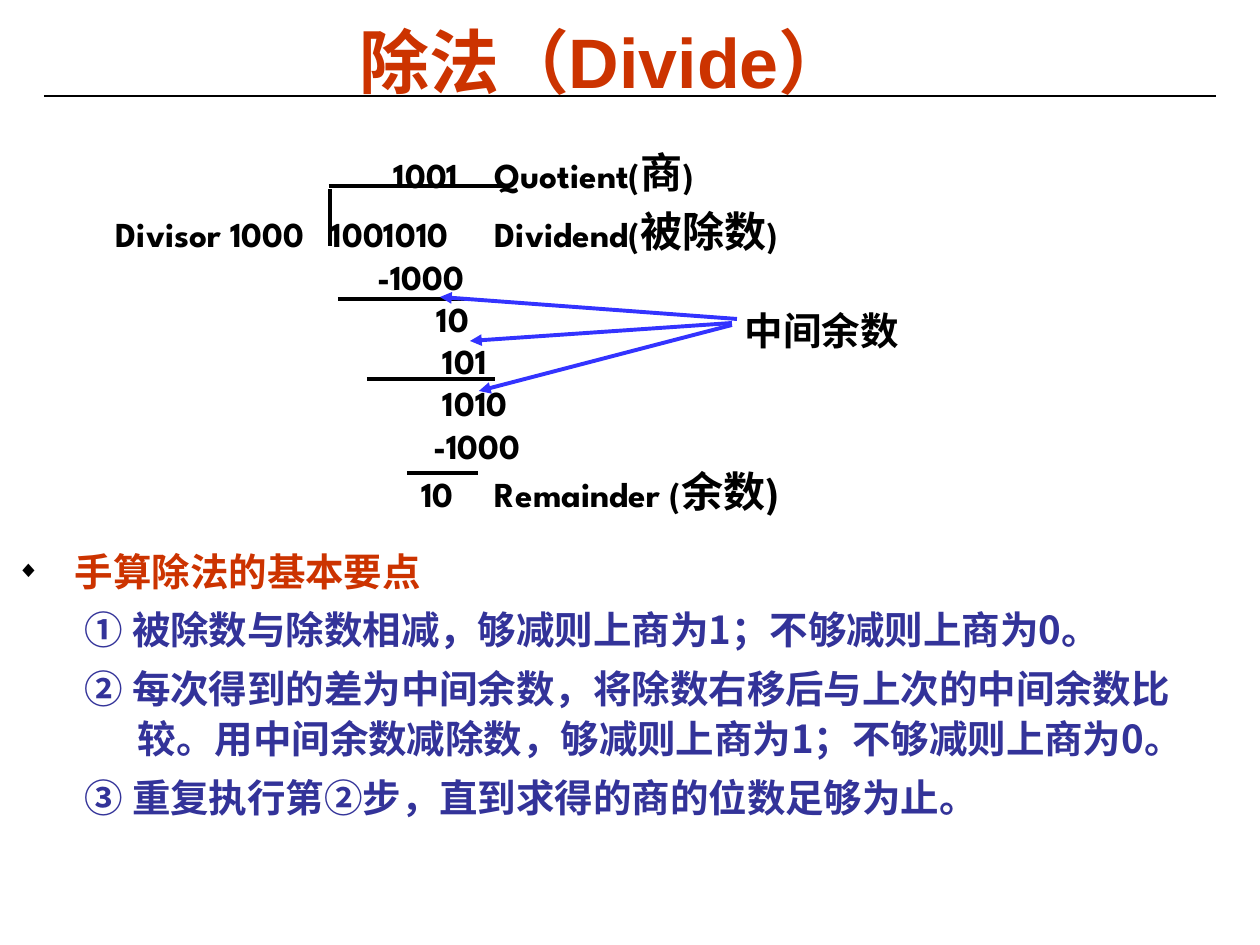
import pptx
import pptx.util
import pptx.dml.color
import pptx.enum.shapes
import pptx.enum.text
import pptx.oxml.ns
import lxml.etree

SCALE = 914400 // 126
COLORS = {"black": "000000", "red": "CC3300", "navy": "333399", "blue": "3333FF"}
CJK, LATIN, DIGITS = "Noto Sans CJK SC", "Times New Roman", "League Spartan"


def px(n):
    return pptx.util.Emu(n * SCALE)


def rgb(name):
    return pptx.dml.color.RGBColor.from_string(COLORS[name])


def sub(parent, tag, **attrs):
    return lxml.etree.SubElement(parent, pptx.oxml.ns.qn(tag), attrs)


def set_font(font, size, color, name):
    font.size = pptx.util.Pt(size)
    font.bold = True
    font.name = name
    font.color.rgb = rgb(color)


def add_line(s, start, end, color="black", width=2, arrow=False):
    line = s.shapes.add_connector(
        pptx.enum.shapes.MSO_CONNECTOR.STRAIGHT, *map(px, start + end))
    line.line.color.rgb = rgb(color)
    line.line.width = pptx.util.Pt(width)
    if arrow:
        sub(line.line._get_or_add_ln(), "a:tailEnd", type="triangle")
    sub(line._element.spPr, "a:effectLst")


def add_text(s, x, y, w, h, inset=(0, 0)):
    tf = s.shapes.add_textbox(*map(px, (x, y, w, h))).text_frame
    tf.word_wrap = True
    tf.margin_left = tf.margin_right = px(inset[0])
    tf.margin_top = tf.margin_bottom = px(inset[1])
    return tf


def next_paragraph(tf, first):
    return tf.paragraphs[0] if first else tf.add_paragraph()


def add_title(s, x, y, w, h):
    sp = s.shapes.title
    sp.left, sp.top, sp.width, sp.height = map(px, (x, y, w, h))
    tf = sp.text_frame
    tf.word_wrap = False
    tf.vertical_anchor = pptx.enum.text.MSO_ANCHOR.MIDDLE
    p = tf.paragraphs[0]
    p.text = "除法（Divide）"
    p.alignment = pptx.enum.text.PP_ALIGN.CENTER
    set_font(p.font, 40, "red", "Arial")
    add_line(s, (44, 96), (1216, 96), width=0.75)


def add_division(s, x, y, w, h):
    label_tab = 438
    rows = [
        (59, [337], "\t1001", ("Quotient(", "商", ")")),
        (59, [59, 274], "\tDivisor 1000\t1001010", ("Dividend(", "被除数", ")")),
        (42, [320], "\t-1000", ()),
        (42, [380], "\t10", ()),
        (42, [386], "\t101", ()),
        (42, [386], "\t1010", ()),
        (42, [376], "\t-1000", ()),
        (50, [364], "\t10", ("Remainder (", "余数)")),
    ]
    tf = add_text(s, x, y, w, h)
    for i, (height, tabs, numbers, label) in enumerate(rows):
        p = next_paragraph(tf, i == 0)
        p.line_spacing = pptx.util.Pt(round(height * 72 / 126, 1))
        set_font(p.font, 20, "black", DIGITS)
        p.add_run().text = numbers + ("\t" if label else "")
        for j, part in enumerate(label):
            r = p.add_run()
            r.text = part
            if j == 1:
                r.font.size = pptx.util.Pt(24)
        stops = lxml.etree.Element(pptx.oxml.ns.qn("a:tabLst"))
        for stop in tabs + [label_tab]:
            sub(stops, "a:tab", pos=str(px(stop)), algn="l")
        p._p.get_or_add_pPr().find(pptx.oxml.ns.qn("a:defRPr")).addprevious(stops)

    add_line(s, (x + 273, y + 108), (x + 273, y + 51))
    for left, right, top in [(272, 450, 48), (281, 409, 161),
                             (350, 421, 335), (310, 438, 241)]:
        add_line(s, (x + left, y + top), (x + right, y + top))


def add_partial_remainders(s, x, y, w, h):
    p = add_text(s, x, y, w, h, (13, 6)).paragraphs[0]
    p.text = "中间余数"
    set_font(p.font, 22, "black", LATIN)
    for start, end in [((5, 18), (-292, -4)), ((0, 22), (-262, 40)),
                       ((0, 24), (-253, 90))]:
        add_line(s, (x + start[0], y + start[1]), (x + end[0], y + end[1]),
                 "blue", 2.25, arrow=True)


def add_key_points(s, x, y, w, h):
    points = [
        ("", "手算除法的基本要点"),
        ("① ", "被除数与除数相减，够减则上商为1；不够减则上商为0。"),
        ("② ", "每次得到的差为中间余数，将除数右移后与上次的中间余数比较。"
               "用中间余数减除数，够减则上商为1；不够减则上商为0。"),
        ("③ ", "重复执行第②步，直到求得的商的位数足够为止。"),
    ]
    tf = add_text(s, x, y, w, h, (9, 4))
    for i, (number, text) in enumerate(points):
        p = next_paragraph(tf, i == 0)
        p.line_spacing = 1.1
        p.space_before = pptx.util.Pt(4.4)
        p.level = 1 if number else 0
        set_font(p.font, 22, "navy" if number else "red", CJK)
        if number:
            r = p.add_run()
            r.text = number
            r.font.name = LATIN
        p.add_run().text = text
        pPr = p._p.get_or_add_pPr()
        margin, indent = (121, 53) if number else (58, 58)
        pPr.set("marL", str(px(margin)))
        pPr.set("indent", str(-px(indent)))
        pPr.set("hangingPunct", "0")
        if not number:
            bullet = [lxml.etree.Element(pptx.oxml.ns.qn(tag), attrs) for tag, attrs in
                      [("a:buClr", {}), ("a:buSzPct", {"val": "60000"}),
                       ("a:buFont", {"typeface": LATIN}),
                       ("a:buChar", {"char": "◆"})]]
            sub(bullet[0], "a:srgbClr", val=COLORS["black"])
            for element in bullet:
                pPr.find(pptx.oxml.ns.qn("a:defRPr")).addprevious(element)


def main():
    prs = pptx.Presentation()
    prs.slide_width, prs.slide_height = px(1260), px(945)
    s = prs.slides.add_slide(prs.slide_layouts[5])
    add_title(s, 182, 28, 844, 66)
    add_division(s, 57, 138, 905, 380)
    add_partial_remainders(s, 732, 301, 215, 59)
    add_key_points(s, 8, 539, 1215, 289)
    prs.save("out.pptx")


if __name__ == "__main__":
    main()
